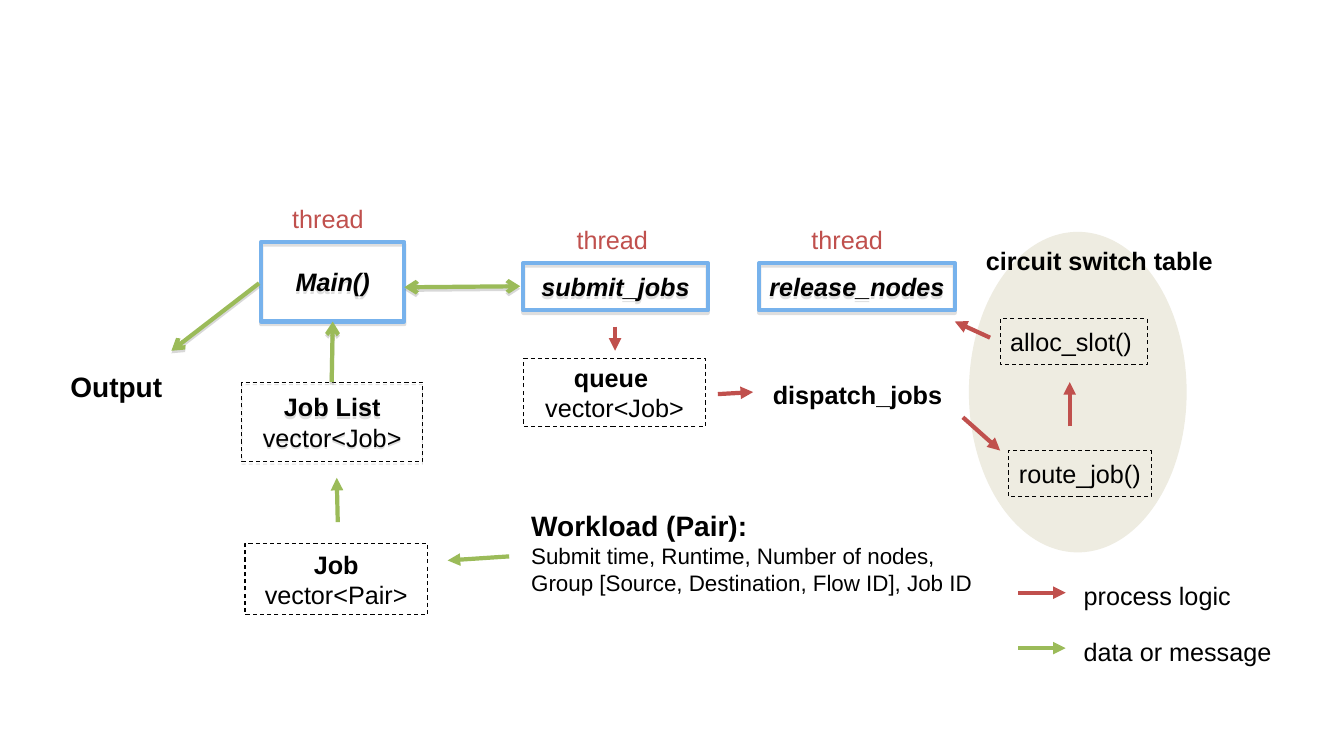
from lxml import etree
from pptx import Presentation
from pptx.dml.color import RGBColor as RGB
from pptx.enum.dml import MSO_LINE_DASH_STYLE as DASH
from pptx.enum.shapes import MSO_CONNECTOR as CONN, MSO_SHAPE as SHAPE
from pptx.enum.text import MSO_ANCHOR as ANCHOR, PP_ALIGN as ALIGN
from pptx.oxml import parse_xml
from pptx.oxml.ns import nsdecls, qn
from pptx.util import Inches, Pt

THEME = {
    "font": "Arial", "body": 18, "title": 20, "detail": 16,
    "text": RGB.from_string("000000"),
    "thread": RGB.from_string("77B2EC"),
    "logic": RGB.from_string("C0504D"),
    "data": RGB.from_string("9BBB59"),
    "table": RGB.from_string("EEECE1"),
    "heavy": 3, "thin": 0.75,
}
SHADOW = (
    f'<a:effectLst {nsdecls("a")}><a:outerShdw dist="22860" dir="5400000" algn="ctr" '
    'rotWithShape="0"><a:srgbClr val="808080"><a:alpha val="{alpha}000"/></a:srgbClr>'
    '</a:outerShdw></a:effectLst>'
)

prs = Presentation()
prs.slide_width, prs.slide_height = Inches(13.33), Inches(7.5)
s = prs.slides.add_slide(prs.slide_layouts[6])


def add_text(place, lines, kind="label", color="text", align=ALIGN.LEFT, shadow=False):
    """Add a thread box, a dashed box or a bare label; lines hold (text, size, style)."""
    x, y, w, h = map(Inches, place)
    if kind == "label":
        sp = s.shapes.add_textbox(x, y, w, h)
    else:
        sp = s.shapes.add_shape(SHAPE.RECTANGLE, x, y, w, h)
        sp.fill.background()
        sp.line.color.rgb = THEME["thread" if kind == "thread" else "text"]
        sp.line.width = Pt(THEME["heavy" if kind == "thread" else "thin"])
        if kind == "dashed":
            sp.line.dash_style = DASH.DASH
        sp.shadow.inherit = False
        if shadow:
            effects = sp._element.spPr.find(qn("a:effectLst"))
            effects.getparent().replace(effects, parse_xml(SHADOW.format(alpha=26)))
    tf = sp.text_frame
    tf.word_wrap = True
    tf.vertical_anchor = ANCHOR.MIDDLE
    for i, (text, size, style) in enumerate(lines):
        p = tf.add_paragraph() if i else tf.paragraphs[0]
        p.text = text
        p.alignment = align
        p.font.name, p.font.size = THEME["font"], Pt(THEME[size])
        p.font.bold, p.font.italic = "b" in style, "i" in style
        p.font.color.rgb = THEME[color]


def add_arrow(start, end, color, head="triangle", both=False):
    """Add an arrow from start to end; open heads come with a shadow."""
    c = s.shapes.add_connector(CONN.STRAIGHT, *map(Inches, start + end))
    c.line.color.rgb = THEME[color]
    c.line.width = Pt(THEME["heavy"])
    ln = c._element.spPr.find(qn("a:ln"))
    for tag in ("a:headEnd", "a:tailEnd") if both else ("a:tailEnd",):
        etree.SubElement(ln, qn(tag)).set("type", head)
    effects = SHADOW.format(alpha=29) if head == "arrow" else f'<a:effectLst {nsdecls("a")}/>'
    c._element.spPr.append(parse_xml(effects))


# Circuit switch table
oval = s.shapes.add_shape(SHAPE.OVAL, *map(Inches, (9.61, 2.3, 2.16, 3.18)))
oval.fill.solid()
oval.fill.fore_color.rgb = THEME["table"]
oval.line.fill.background()
oval.shadow.inherit = False
add_text((9.68, 2.38, 2.65, 0.4), [("circuit switch table", "body", "b")])
add_text((10, 4.47, 1.42, 0.46), [("route_job()", "body", "")], "dashed", align=ALIGN.CENTER)
add_text((9.92, 3.16, 1.46, 0.46), [("alloc_slot()", "body", "")], "dashed")

# Threads
for name, place, label_x, label_y in (
    ("Main()", (2.59, 2.4, 1.42, 0.79), 2.8, 1.97),
    ("submit_jobs", (5.19, 2.61, 1.83, 0.47), 5.62, 2.18),
    ("release_nodes", (7.53, 2.61, 1.94, 0.47), 7.95, 2.18),
):
    add_text(place, [(name, "body", "bi")], "thread", align=ALIGN.CENTER, shadow=True)
    add_text((label_x, label_y, 1.1, 0.4), [("thread", "body", "")], color="logic")

# Data containers
for name, content, place, shadow in (
    ("Job List", "vector<Job>", (2.4, 3.79, 1.79, 0.79), True),
    ("Job", "vector<Pair>", (2.43, 5.39, 1.81, 0.71), False),
    ("queue ", "vector<Job>", (5.19, 3.56, 1.81, 0.67), False),
):
    lines = [(name, "body", "b"), (content, "body", "")]
    add_text(place, lines, "dashed", align=ALIGN.CENTER, shadow=shadow)

# Free labels
add_text((7.45, 3.68, 2.11, 0.46), [("dispatch_jobs", "body", "b")], align=ALIGN.CENTER)
add_text((0.6, 3.53, 1.27, 0.61), [("Output", "title", "b")])
add_text((5.17, 4.78, 4.75, 1.4), [
    ("Workload (Pair):", "title", "b"),
    ("Submit time, Runtime, Number of nodes,", "detail", ""),
    ("Group [Source, Destination, Flow ID], Job ID", "detail", ""),
])

# Data flow
add_arrow((4.01, 2.85), (5.16, 2.84), "data", "arrow", both=True)
add_arrow((3.29, 3.79), (3.3, 3.19), "data", "arrow")
add_arrow((2.57, 2.81), (1.7, 3.48), "data", "arrow")
add_arrow((3.35, 5.18), (3.34, 4.74), "data")
add_arrow((5.05, 5.52), (4.44, 5.56), "data")

# Process logic
for start, end in (
    ((6.1, 3.24), (6.1, 3.48)),
    ((7.12, 3.91), (7.47, 3.89)),
    ((9.55, 4.14), (9.92, 4.47)),
    ((10.61, 4.23), (10.61, 3.79)),
    ((9.82, 3.35), (9.47, 3.19)),
):
    add_arrow(start, end, "logic")

# Legend
for label, color, y in (("process logic", "logic", 5.88), ("data or message", "data", 6.43)):
    add_arrow((10.1, y), (10.57, y), color)
    add_text((10.65, y - 0.17, 2.32, 0.4), [(label, "body", "")])

prs.save("out.pptx")
